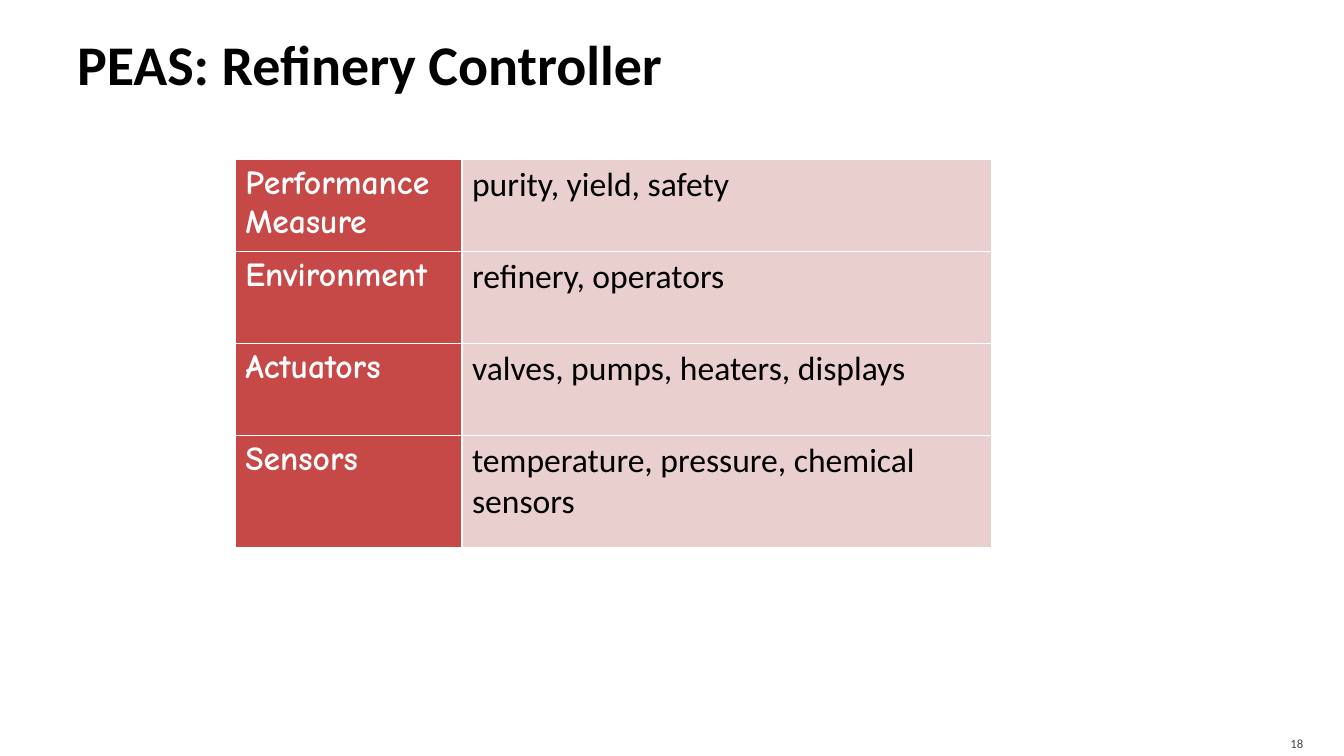
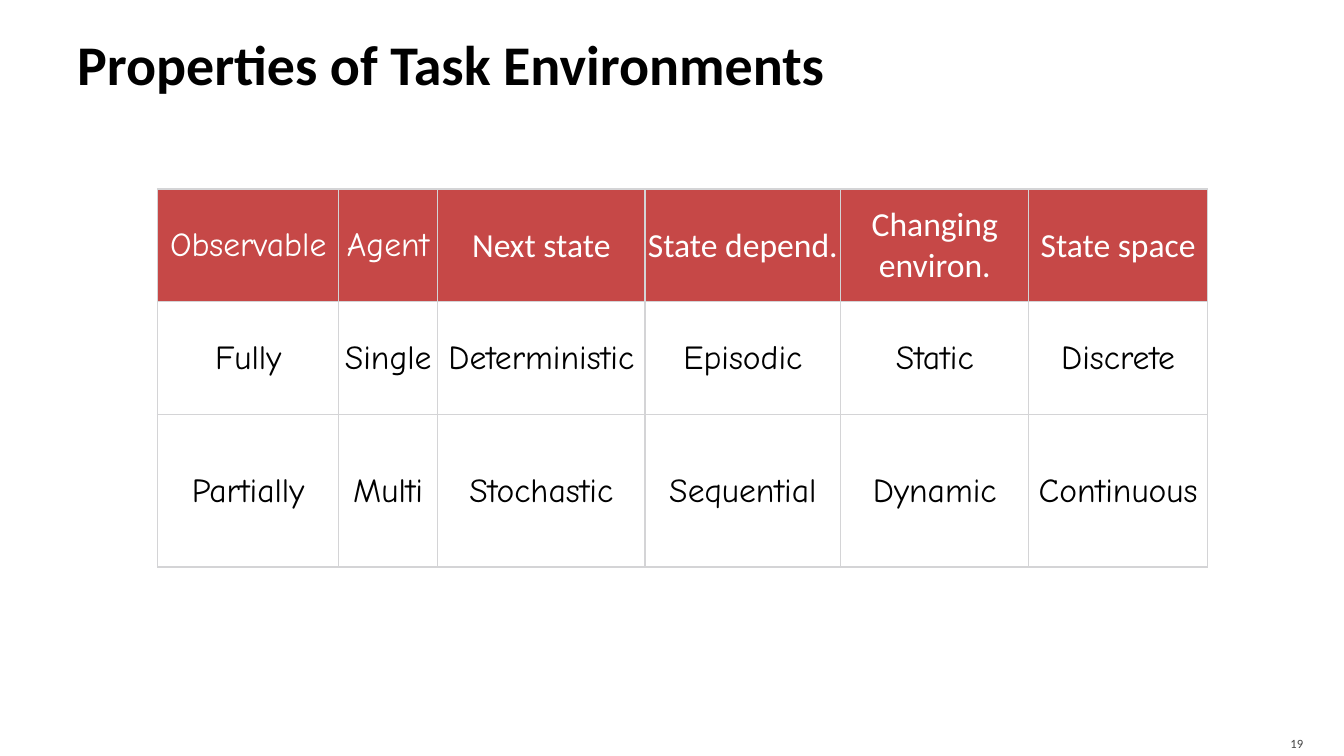
from lxml.etree import SubElement
from pptx import Presentation
from pptx.dml.color import RGBColor
from pptx.enum.text import MSO_ANCHOR, PP_ALIGN
from pptx.oxml.ns import qn
from pptx.util import Pt

HUE = {
    "red": "C64847",
    "pink": "EACFCF",
    "white": "FFFFFF",
    "black": "000000",
    "gray": "454545",
    "rule": "D4D4D6",
}
SANS, COMIC = "Calibri", "Comic Neue"


def write(frame, text, size, font, hue, bold=False, align=PP_ALIGN.LEFT):
    frame.word_wrap = True
    para = frame.paragraphs[0]
    para.alignment = align
    run = para.add_run()
    run.text = text
    run.font.size = Pt(size)
    run.font.name = font
    run.font.bold = bold
    run.font.color.rgb = RGBColor.from_string(HUE[hue])


def grid(slide, left, top, wides, highs, rule):
    table = slide.shapes.add_table(
        len(highs), len(wides), Pt(left), Pt(top), Pt(sum(wides)), Pt(sum(highs))
    ).table
    table.first_row = table.horz_banding = False
    for col, wide in zip(table.columns, wides):
        col.width = Pt(wide)
    for row, high in zip(table.rows, highs):
        row.height = Pt(high)
    for cell in table.iter_cells():
        props = cell._tc.get_or_add_tcPr()
        for side in ("a:lnL", "a:lnR", "a:lnT", "a:lnB"):
            line = SubElement(props, qn(side), w=str(Pt(1)))
            fill = SubElement(line, qn("a:solidFill"))
            SubElement(fill, qn("a:srgbClr"), val=HUE[rule])
    return table


deck = Presentation()
deck.slide_width, deck.slide_height = Pt(960), Pt(540)

slides = []
for num, title in enumerate(
    ["PEAS: Refinery Controller", "Properties of Task Environments"], 18
):
    slide = deck.slides.add_slide(deck.slide_layouts[6])
    slides.append(slide)
    head = slide.shapes.add_textbox(Pt(48), Pt(12), Pt(864), Pt(66)).text_frame
    head.vertical_anchor = MSO_ANCHOR.MIDDLE
    write(head, title, 40, SANS, "black", True)
    foot = slide.shapes.add_textbox(Pt(861), Pt(518.4), Pt(77), Pt(21.6)).text_frame
    foot.vertical_anchor = MSO_ANCHOR.MIDDLE
    foot.margin_bottom = 0
    write(foot, str(num), 9, SANS, "gray", align=PP_ALIGN.RIGHT)

peas = [
    ("Performance Measure", "purity, yield, safety"),
    ("Environment", "refinery, operators"),
    ("Actuators", "valves, pumps, heaters, displays"),
    ("Sensors", "temperature, pressure, chemical sensors"),
]
looks = [("red", COMIC, "white", True), ("pink", SANS, "black", False)]
table = grid(slides[0], 168, 114, [162, 378], [65.7] * 3 + [80], "white")
for r, row in enumerate(peas):
    for c, (text, look) in enumerate(zip(row, looks)):
        back, font, hue, bold = look
        cell = table.cell(r, c)
        cell.fill.solid()
        cell.fill.fore_color.rgb = RGBColor.from_string(HUE[back])
        write(cell.text_frame, text, 24, font, hue, bold)

traits = [
    ("Observable", "Agent", "Next state", "State depend.", "Changing environ.", "State space"),
    ("Fully", "Single", "Deterministic", "Episodic", "Static", "Discrete"),
    ("Partially", "Multi", "Stochastic", "Sequential", "Dynamic", "Continuous"),
]
wides = [129.5, 70.5, 148.3, 139.7, 134.5, 127.5]
table = grid(slides[1], 112.5, 135, wides, [80.5, 80.5, 109], "rule")
for r, row in enumerate(traits):
    for c, text in enumerate(row):
        cell = table.cell(r, c)
        cell.vertical_anchor = MSO_ANCHOR.MIDDLE
        cell.margin_left = cell.margin_right = cell.margin_top = Pt(0.7)
        cell.margin_bottom = 0
        cell.fill.solid()
        cell.fill.fore_color.rgb = RGBColor.from_string(HUE["white" if r else "red"])
        font = SANS if r == 0 and c > 1 else COMIC
        hue = "black" if r else "white"
        write(cell.text_frame, text, 24, font, hue, align=PP_ALIGN.CENTER)

deck.save("out.pptx")
